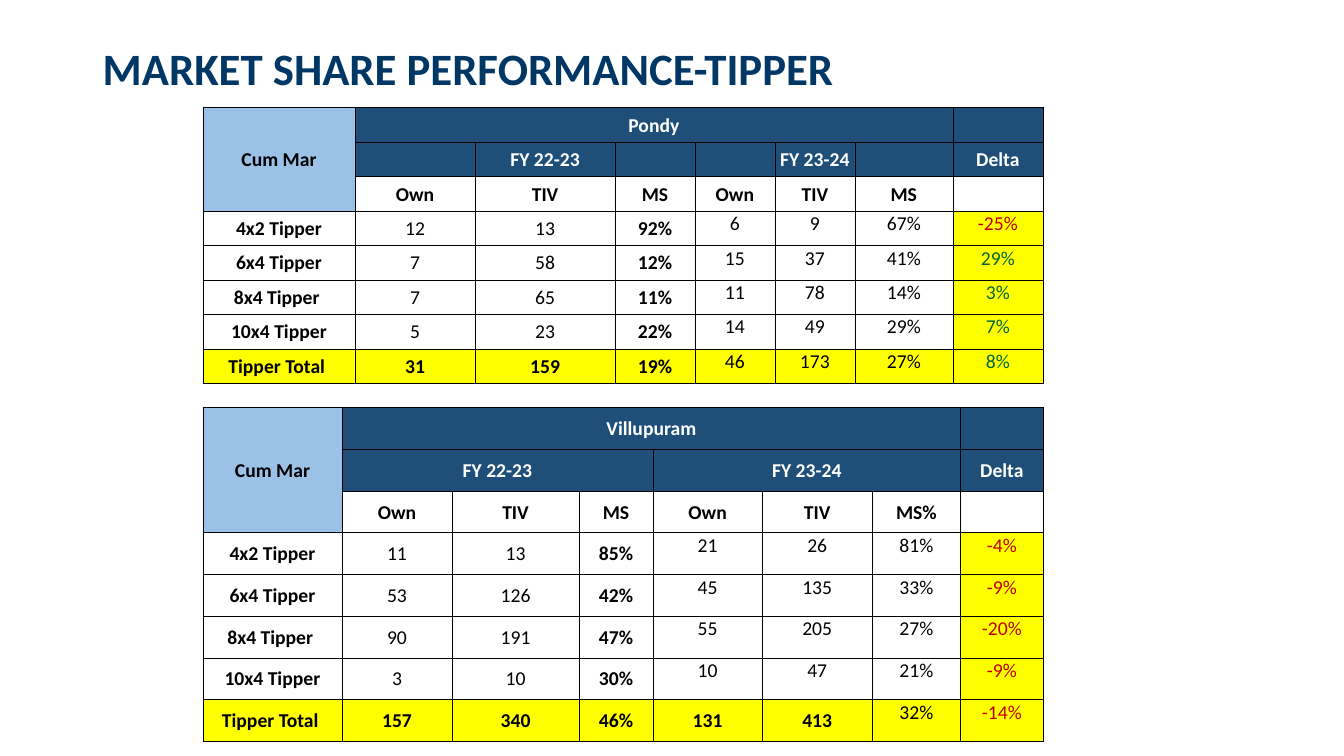
from lxml import etree
from pptx import Presentation
from pptx.dml.color import RGBColor
from pptx.enum.text import MSO_ANCHOR, PP_ALIGN
from pptx.oxml.ns import qn
from pptx.util import Pt

TOP, MIDDLE, BOTTOM = MSO_ANCHOR.TOP, MSO_ANCHOR.MIDDLE, MSO_ANCHOR.BOTTOM
LEFT, CENTER = PP_ALIGN.LEFT, PP_ALIGN.CENTER
FONT = "Calibri"
COLORS = {
    "title": "003764", "corner": "9BC2E6", "header": "1F4E78",
    "white": "FFFFFF", "black": "000000", "highlight": "FFFF00",
    "loss": "C00000", "gain": "006633",
}


def add_text(paragraph, text, size, color, bold):
    run = paragraph.add_run()
    run.text = text
    run.font.name = FONT
    run.font.size = Pt(size)
    run.font.bold = bold
    run.font.color.rgb = RGBColor.from_string(COLORS[color])


def add_borders(cell):
    properties = cell._tc.get_or_add_tcPr()
    for side in ("a:lnL", "a:lnR", "a:lnT", "a:lnB"):
        line = etree.SubElement(properties, qn(side), w=str(Pt(0.5)))
        fill = etree.SubElement(line, qn("a:solidFill"))
        etree.SubElement(fill, qn("a:srgbClr"), val=COLORS["black"])


regions = [
    {
        "top": 77, "row_height": 24.63,
        "widths": [108.6, 85.8, 100, 57.1, 57.1, 57.1, 70, 64.4],
        "merges": [(0, 0, 2, 0), (0, 1, 0, 6)],
        "bold_total_columns": 4,
        "rows": [
            ["Cum Mar", "Pondy", "", "", "", "", "", ""],
            ["", "", "FY 22-23", "", "", "FY 23-24", "", "Delta"],
            ["", "Own", "TIV", "MS", "Own", "TIV", "MS", ""],
            ["4x2 Tipper", "12", "13", "92%", "6", "9", "67%", "-25%"],
            ["6x4 Tipper", "7", "58", "12%", "15", "37", "41%", "29%"],
            ["8x4 Tipper ", "7", "65", "11%", "11", "78", "14%", "3%"],
            ["10x4 Tipper", "5", "23", "22%", "14", "49", "29%", "7%"],
            ["Tipper Total ", "31", "159", "19%", "46", "173", "27%", "8%"],
        ],
    },
    {
        "top": 291.2, "row_height": 29.8,
        "widths": [99.3, 78.6, 90.8, 52.7, 78.2, 78.4, 63.4, 58.7],
        "merges": [(0, 0, 2, 0), (0, 1, 0, 6), (1, 1, 1, 3), (1, 4, 1, 6)],
        "bold_total_columns": 6,
        "rows": [
            ["Cum Mar", "Villupuram", "", "", "", "", "", ""],
            ["", "FY 22-23", "", "", "FY 23-24", "", "", "Delta"],
            ["", "Own", "TIV", "MS", "Own", "TIV", "MS%", ""],
            ["4x2 Tipper", "11", "13", "85%", "21", "26", "81%", "-4%"],
            ["6x4 Tipper", "53", "126", "42%", "45", "135", "33%", "-9%"],
            ["8x4 Tipper ", "90", "191", "47%", "55", "205", "27%", "-20%"],
            ["10x4 Tipper", "3", "10", "30%", "10", "47", "21%", "-9%"],
            ["Tipper Total ", "157", "340", "46%", "131", "413", "32%", "-14%"],
        ],
    },
]

deck = Presentation()
deck.slide_width, deck.slide_height = Pt(960), Pt(540)
slide = deck.slides.add_slide(deck.slide_layouts[5])

title = slide.shapes.title
title.left, title.top, title.width, title.height = Pt(66.2), Pt(28.8), Pt(805), Pt(42.5)
title.text_frame.vertical_anchor = BOTTOM
heading = title.text_frame.paragraphs[0]
heading.alignment = LEFT
heading.line_spacing = 0.9
add_text(heading, "MARKET SHARE PERFORMANCE-TIPPER", 32, "title", True)

for region in regions:
    rows, widths = region["rows"], region["widths"]
    table = slide.shapes.add_table(
        len(rows), len(widths), Pt(145), Pt(region["top"]),
        Pt(sum(widths)), Pt(region["row_height"] * len(rows))).table
    table.first_row = False
    table.horz_banding = False
    for column, width in zip(table.columns, widths):
        column.width = Pt(width)
    for row in table.rows:
        row.height = Pt(region["row_height"])
    for first_row, first_column, last_row, last_column in region["merges"]:
        table.cell(first_row, first_column).merge(table.cell(last_row, last_column))

    for r, values in enumerate(rows):
        is_total = r == len(rows) - 1
        for c, value in enumerate(values):
            fill, color, anchor = "white", "black", MIDDLE
            bold = r < 3 or c in (0, 3)
            if r < 3 and c == 0:
                fill = "corner"
            elif r < 2:
                fill, color = "header", "white"
            elif r > 2:
                if is_total:
                    bold = c < region["bold_total_columns"]
                if c > 3 and not bold:
                    anchor = TOP
                if is_total or c == 7:
                    fill = "highlight"
                if c == 7:
                    color = "loss" if value.startswith("-") else "gain"

            cell = table.cell(r, c)
            add_borders(cell)
            cell.fill.solid()
            cell.fill.fore_color.rgb = RGBColor.from_string(COLORS[fill])
            cell.vertical_anchor = anchor
            cell.margin_left = cell.margin_right = cell.margin_top = Pt(0.6)
            cell.margin_bottom = Pt(0)
            if value:
                label = cell.text_frame.paragraphs[0]
                label.alignment = CENTER
                add_text(label, value, 14, color, bold)

deck.save("out.pptx")
